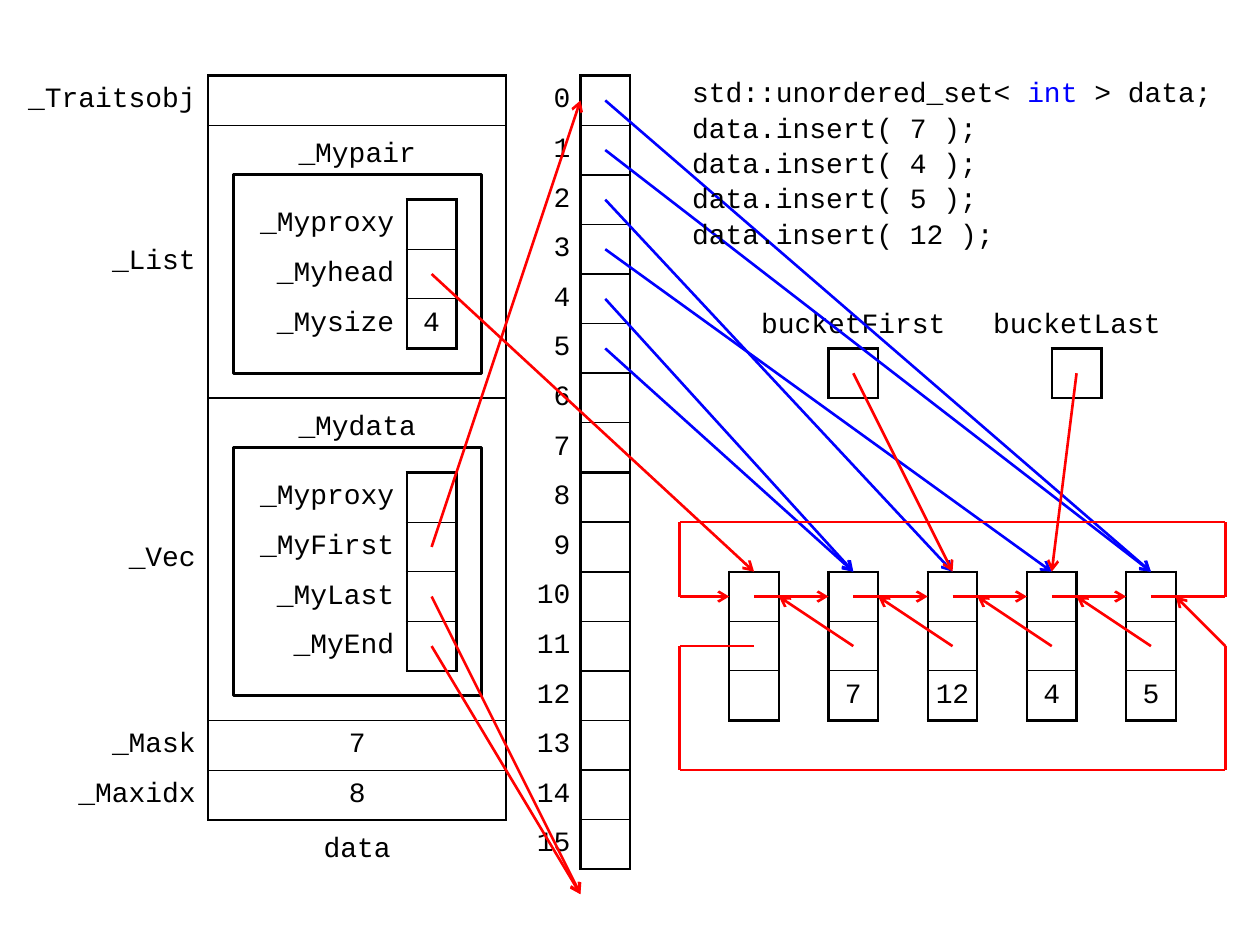
from dataclasses import dataclass
from itertools import pairwise

from lxml.etree import SubElement
from pptx import Presentation
from pptx.dml.color import RGBColor
from pptx.enum.shapes import MSO_CONNECTOR, MSO_SHAPE
from pptx.enum.text import MSO_ANCHOR, PP_ALIGN
from pptx.oxml.ns import qn
from pptx.util import Pt


@dataclass(frozen=True)
class Theme:
    font: str = "Courier New"
    size: float = 16
    ink: str = "000000"
    paper: str = "FFFFFF"
    bucket_link: str = "0000FF"
    pointer: str = "FF0000"
    thick: float = 1.5
    thin: float = 0.75


@dataclass(frozen=True)
class Record:
    left: float
    top: float
    values: list[str]
    labels: list[str] | None = None
    label_width: float = 0
    value_width: float = 1
    heights: list[float] | None = None
    group: int = 0
    inset: float = 7.2


@dataclass(frozen=True)
class Caption:
    text: str
    left: float
    top: float
    width: float
    align: PP_ALIGN = PP_ALIGN.CENTER
    anchor: MSO_ANCHOR = MSO_ANCHOR.BOTTOM
    right_inset: float = 2.9


@dataclass(frozen=True)
class Route:
    points: list[tuple[float, float]]
    color: str
    arrow: bool = True


THEME = Theme()
UNIT = 28.35
ORIGIN_LEFT, ORIGIN_TOP = 5.67, 43.2


def length(units: float) -> int:
    return Pt(units * UNIT)


def across(column: float) -> int:
    return Pt(ORIGIN_LEFT + column * UNIT)


def down(row: float) -> int:
    return Pt(ORIGIN_TOP + row * UNIT)


def write(frame, lines, *, align=PP_ALIGN.LEFT, space_before=0) -> None:
    for index, spans in enumerate(lines):
        para = frame.add_paragraph() if index else frame.paragraphs[0]
        para.alignment = align
        para.space_before = Pt(space_before if index else 0)
        for text, color in spans:
            span = para.add_run()
            span.text = text
            span.font.name = THEME.font
            span.font.size = Pt(THEME.size)
            span.font.color.rgb = RGBColor.from_string(color)


def add_text(page, lines, left, top, width, height, *, anchor, margins, **style) -> None:
    box = page.shapes.add_textbox(across(left), down(top), length(width), length(height))
    frame = box.text_frame
    frame.word_wrap = True
    frame.vertical_anchor = anchor
    frame.margin_left, frame.margin_top, frame.margin_right, frame.margin_bottom = map(Pt, margins)
    write(frame, lines, **style)


def set_borders(cell, widths: dict[str, float]) -> None:
    properties = cell._tc.get_or_add_tcPr()
    for side in "LRTB":
        width = widths.get(side, 0)
        line = SubElement(properties, qn(f"a:ln{side}"), w=str(Pt(width)))
        if width:
            fill = SubElement(line, qn("a:solidFill"))
            SubElement(fill, qn("a:srgbClr"), val=THEME.ink)
        else:
            SubElement(line, qn("a:noFill"))


def fill_cell(cell, text: str, align: PP_ALIGN, inset: float, borders: dict[str, float]) -> None:
    cell.vertical_anchor = MSO_ANCHOR.MIDDLE
    cell.margin_left, cell.margin_right = Pt(0), Pt(inset)
    cell.margin_top = cell.margin_bottom = Pt(2.9)
    if text:
        write(cell.text_frame, [[(text, THEME.ink)]], align=align)
    set_borders(cell, borders)
    cell.fill.background()


def add_record(page, record: Record) -> None:
    count = len(record.values)
    heights = record.heights or [1] * count
    group = record.group or count
    widths = [record.label_width, record.value_width] if record.labels else [record.value_width]
    table = page.shapes.add_table(count, len(widths), across(record.left), down(record.top),
                                  length(sum(widths)), length(sum(heights))).table
    table.first_row = table.horz_banding = False
    for column, width in zip(table.columns, widths):
        column.width = length(width)
    rules = [THEME.thin if index % group else THEME.thick for index in range(count + 1)]
    for index, (value, height) in enumerate(zip(record.values, heights)):
        table.rows[index].height = length(height)
        if record.labels:
            fill_cell(table.cell(index, 0), record.labels[index], PP_ALIGN.RIGHT,
                      record.inset, {"R": THEME.thick})
        fill_cell(table.cell(index, len(widths) - 1), value, PP_ALIGN.CENTER, 0,
                  {"L": THEME.thick, "R": THEME.thick, "T": rules[index], "B": rules[index + 1]})


def add_frame(page, left: float, top: float, width: float, height: float) -> None:
    box = page.shapes.add_shape(MSO_SHAPE.RECTANGLE, across(left), down(top),
                                length(width), length(height))
    box.shadow.inherit = False
    box.fill.solid()
    box.fill.fore_color.rgb = RGBColor.from_string(THEME.paper)
    box.line.color.rgb = RGBColor.from_string(THEME.ink)
    box.line.width = Pt(THEME.thick)


def add_route(page, route: Route) -> None:
    for start, end in pairwise(route.points):
        line = page.shapes.add_connector(MSO_CONNECTOR.STRAIGHT, across(start[0]), down(start[1]),
                                         across(end[0]), down(end[1]))
        line.line.color.rgb = RGBColor.from_string(route.color)
        line.line.width = Pt(THEME.thick)
        properties = line._element.spPr
        if route.arrow and end == route.points[-1]:
            SubElement(properties.find(qn("a:ln")), qn("a:tailEnd"), type="arrow")
        SubElement(properties, qn("a:effectLst"))


RECORDS = [
    Record(0, 0, ["", "", "", "7", "8"], ["_Traitsobj", "_List", "_Vec", "_Mask", "_Maxidx"],
           4, 6, [1, 5.5, 6.5, 1, 1]),
    Record(4.5, 2.5, ["", "", "4"], ["_Myproxy", "_Myhead", "_Mysize"], 3.5),
    Record(4.5, 8, [""] * 4, ["_Myproxy", "_MyFirst", "_MyLast", "_MyEnd"], 3.5),
    Record(10, 0, [""] * 16, [str(index) for index in range(16)], 1.5, group=2, inset=5.76),
    Record(16.5, 5.5, [""]),
    Record(21, 5.5, [""]),
    *(Record(14.5 + 2 * index, 10, ["", "", value])
      for index, value in enumerate(["", "7", "12", "4", "5"])),
]
CAPTIONS = [
    Caption("_Mypair", 5.5, 1, 3),
    Caption("_Mydata", 5.5, 6.5, 3),
    Caption("data", 6, 15, 2),
    Caption("bucketFirst", 15, 4.5, 4, anchor=MSO_ANCHOR.TOP),
    Caption("bucketLast", 19.5, 4.5, 4, PP_ALIGN.RIGHT, MSO_ANCHOR.TOP, 8.64),
]
BUCKET_LINKS = [Route([(12, index + 0.5), (target, 10)], THEME.bucket_link)
                for index, target in enumerate([23, 23, 19, 21, 17, 17])]
POINTERS = [Route(points, THEME.pointer) for points in [
    [(8.5, 4), (15, 10)],
    [(8.5, 9.5), (11.5, 0.5)],
    [(8.5, 10.5), (11.5, 16.5)],
    [(8.5, 11.5), (11.5, 16.5)],
    [(17, 6), (19, 10)],
    [(21.5, 6), (21, 10)],
    [(23, 10.5), (24.5, 10.5), (24.5, 9), (13.5, 9), (13.5, 10.5), (14.5, 10.5)],
    [(15, 11.5), (13.5, 11.5), (13.5, 14), (24.5, 14), (24.5, 11.5), (23.5, 10.5)],
    *([(column, 10.5), (column + 1.5, 10.5)] for column in range(15, 23, 2)),
    *([(column, 11.5), (column - 1.5, 10.5)] for column in range(17, 25, 2)),
]]
CODE = [
    [("std::unordered_set< ", THEME.ink), ("int", THEME.bucket_link), (" > data;", THEME.ink)],
    *([(f"data.insert( {value} );", THEME.ink)] for value in (7, 4, 5, 12)),
]

deck = Presentation()
deck.slide_width, deck.slide_height = Pt(720), Pt(540)
page = deck.slides.add_slide(deck.slide_layouts[6])
add_frame(page, 4.5, 2, 5, 4)
add_frame(page, 4.5, 7.5, 5, 5)
for record in RECORDS:
    add_record(page, record)
for caption in CAPTIONS:
    add_text(page, [[(caption.text, THEME.ink)]], caption.left, caption.top, caption.width, 1,
             anchor=caption.anchor, margins=(2.9, 3.6, caption.right_inset, 3.6),
             align=caption.align)
for route in BUCKET_LINKS:
    add_route(page, route)
add_text(page, CODE, 13.5, 0, 11, 3.5, anchor=MSO_ANCHOR.MIDDLE, margins=(7.2, 0, 7.2, 0),
         space_before=1)
for route in POINTERS:
    add_route(page, route)
deck.save("out.pptx")
